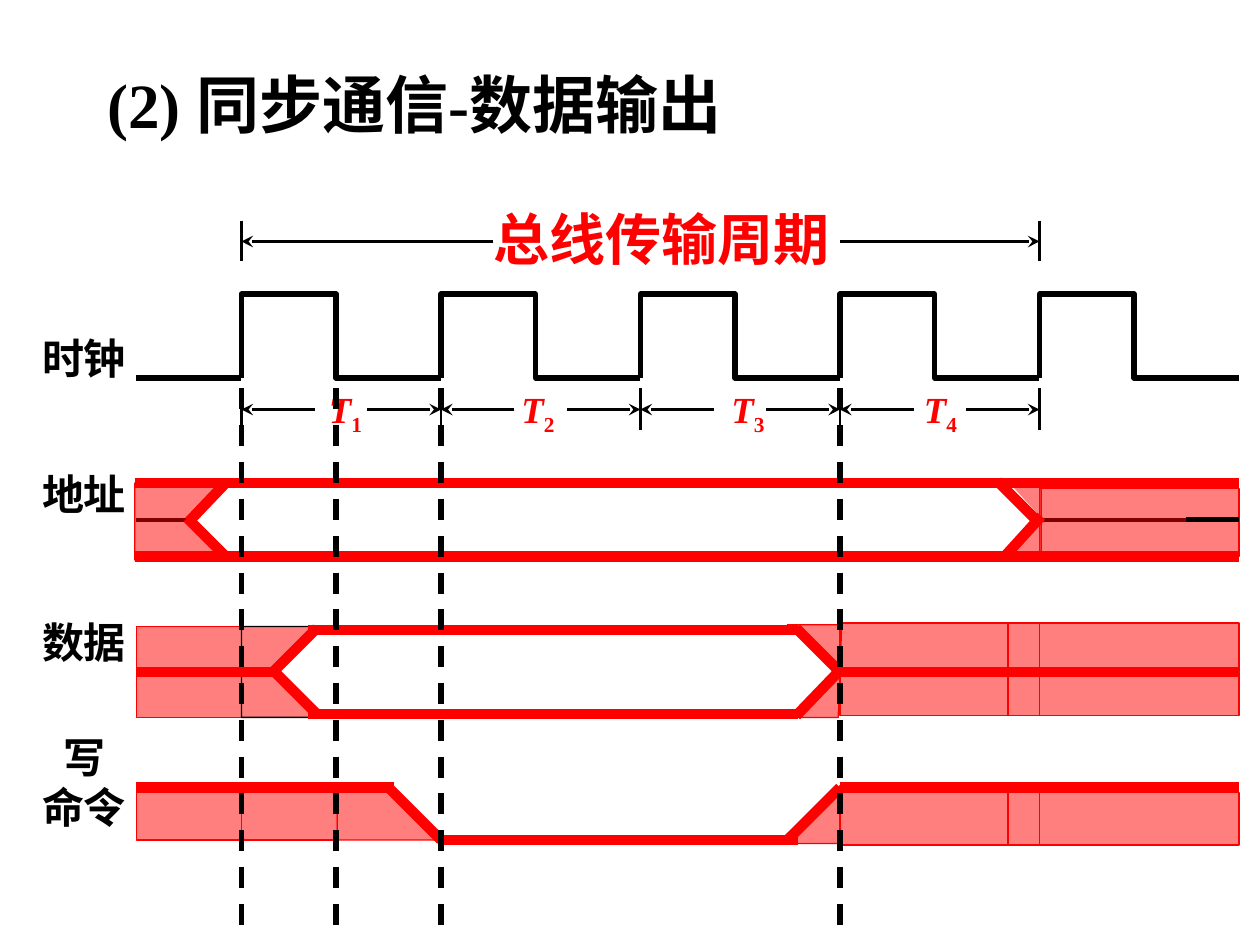
from lxml import etree
from pptx import Presentation
from pptx.dml.color import RGBColor
from pptx.enum.dml import MSO_LINE
from pptx.enum.shapes import MSO_CONNECTOR, MSO_SHAPE
from pptx.enum.text import MSO_ANCHOR, MSO_AUTO_SIZE, PP_ALIGN
from pptx.oxml.ns import qn
from pptx.util import Pt

BLACK = RGBColor(0, 0, 0)
RED = RGBColor(255, 0, 0)
DASH = MSO_LINE.DASH
STRAIGHT = MSO_CONNECTOR.STRAIGHT
RECT = MSO_SHAPE.RECTANGLE
TOP = MSO_ANCHOR.TOP
LEFT, CENTER = PP_ALIGN.LEFT, PP_ALIGN.CENTER
NONE = MSO_AUTO_SIZE.NONE

SERIF, SANS = "Times New Roman", "Noto Sans CJK SC"
HEAD = {"name": SERIF, "size": Pt(36), "bold": True}
LABEL = {"name": SERIF, "size": Pt(24), "bold": True}
CYCLE = {"name": SANS, "size": Pt(32), "bold": True}
STATE = {"name": SERIF, "size": Pt(21), "bold": True, "italic": True}
INDEX = {**STATE, "italic": False}

START, STEP, HIGH = 138, 114, 54
EDGES = [START + STEP * k for k in range(5)]
FIRST, LAST = 78, 708

LABELS = [("时钟", 190), ("地址", 268), ("数据", 352), ("写\n命令", 418)]
MARKS = [188, 298, 418, 528]
BLOCKS = [
    (78, 358, 60, 52), (480, 356, 96, 53), (576, 356, 18, 53), (594, 356, 114, 53),
    (78, 450, 60, 30), (138, 450, 55, 30), (480, 450, 96, 33), (576, 450, 18, 33),
    (594, 453, 114, 30), (594, 279, 114, 39),
]
WEDGES = [
    (RED, [(107, 297), (131, 276), (77, 276), (77, 320), (132, 320)]),
    (BLACK, [(184, 358), (138, 358), (138, 410), (180, 410), (155, 383)]),
    (RED, [(192, 450), (222, 450), (252, 480), (192, 480)]),
    (RED, [(450, 357), (481, 357), (479, 410), (453, 410), (480, 382), (450, 357)]),
    (RED, [(480, 449), (444, 482), (481, 482)]),
    (RED, [(575, 274), (595, 274), (595, 318), (570, 318), (596, 297)]),
]
TRACKS = [
    (276, [77, 138, 192, 252, 366, 456, 480, 576, 594, 708]),
    (318, [77, 138, 192, 252, 366, 456, 480, 576, 594, 708]),
    (360, [176, 192, 252, 366, 456]),
    (408, [176, 192, 252, 366, 456]),
    (384, [78, 138, 156]),
    (384, [480, 576, 594, 708]),
    (450, [78, 138, 192, 225]),
    (450, [480, 576, 594, 708]),
    (480, [252, 366, 456]),
]
SLOPES = [
    (129, 276, 108, 298), (130, 319, 107, 296), (595, 295, 575, 317),
    (593, 298, 570, 275), (181, 359, 156, 384), (181, 408, 155, 382),
    (481, 385, 455, 359), (480, 383, 455, 409), (222, 450, 252, 480),
    (480, 450, 450, 480),
]


def style(run, form, color):
    for key, value in form.items():
        setattr(run.font, key, value)
    run.font.color.rgb = color


def stroke(shape, color, width):
    shape.line.color.rgb = color
    shape.line.width = Pt(width)


def line(shapes, ends, color, width, dash=None, arrow=False):
    link = shapes.add_connector(STRAIGHT, *map(Pt, ends))
    stroke(link, color, width)
    if dash:
        link.line.dash_style = dash
    props = link._element.spPr
    if arrow:
        etree.SubElement(props.find(qn("a:ln")), qn("a:tailEnd"), type="stealth")
    etree.SubElement(props, qn("a:effectLst"))


def tint(shape, edge):
    shape.shadow.inherit = False
    shape.fill.solid()
    shape.fill.fore_color.rgb = RED
    color = shape._element.spPr.find(qn("a:solidFill"))[0]
    etree.SubElement(color, qn("a:alpha"), val="50000")
    stroke(shape, edge, 0.75)


def outline(shapes, points):
    form = shapes.build_freeform(*points[0], scale=Pt(1))
    form.add_line_segments(points[1:], close=False)
    return form.convert_to_shape()


def text(shapes, box, rows, color, align=LEFT, wrap=False):
    frame = shapes.add_textbox(*map(Pt, box)).text_frame
    frame.word_wrap = wrap
    for side in ("left", "right", "top", "bottom"):
        setattr(frame, "margin_" + side, 0)
    for k, row in enumerate(rows):
        para = frame.add_paragraph() if k else frame.paragraphs[0]
        para.alignment = align
        for words, form in row:
            run = para.add_run()
            run.text = words
            style(run, form, color)


def title(slide):
    shape = slide.shapes.title
    place = {"left": 54, "top": 34, "width": 370, "height": 51}
    for key, value in place.items():
        setattr(shape, key, Pt(value))
    frame = shape.text_frame
    format = {"word_wrap": True, "auto_size": NONE, "vertical_anchor": TOP}
    for key, value in format.items():
        setattr(frame, key, value)
    para = frame.paragraphs[0]
    para.alignment = LEFT
    run = para.add_run()
    run.text = "(2) 同步通信-数据输出"
    style(run, HEAD, BLACK)


def clock(shapes):
    line(shapes, (FIRST, 216, START, 216), BLACK, 3)
    for x in EDGES:
        fall = x + HIGH
        pulse = outline(shapes, [(x, 216), (x, 168), (fall, 168), (fall, 216),
                                 (min(x + STEP, LAST), 216)])
        pulse.fill.background()
        pulse.shadow.inherit = False
        stroke(pulse, BLACK, 3)


def spans(shapes):
    for x in (EDGES[0], EDGES[-1]):
        line(shapes, (x, 126, x, 149), BLACK, 1.25)
    line(shapes, (282, 138, START, 138), BLACK, 2.25, arrow=True)
    line(shapes, (480, 138, EDGES[-1], 138), BLACK, 2.25, arrow=True)
    text(shapes, (282, 117, 193, 38), [[("总线传输周期", CYCLE)]], RED)
    for x in EDGES:
        line(shapes, (x, 222, x, 246), BLACK, 1.25)
    for k, (x, mark) in enumerate(zip(EDGES, MARKS), 1):
        line(shapes, (x + 42, 234, x, 234), BLACK, 2.25, arrow=True)
        line(shapes, (x + 72, 234, x + STEP, 234), BLACK, 2.25, arrow=True)
        low = [("T", STATE), (str(k), INDEX)]
        text(shapes, (mark, 221, 20, 25), [low], RED)
        run = shapes[-1].text_frame.paragraphs[0].runs[1]
        run.font._element.set("baseline", "-25000")


def signals(shapes):
    line(shapes, (FIRST, 297, 109, 297), BLACK, 2.5)
    line(shapes, (594, 297, 690, 297), BLACK, 2.5)
    for block in BLOCKS:
        tint(shapes.add_shape(RECT, *map(Pt, block)), RED)
    for edge, points in WEDGES:
        tint(outline(shapes, points), edge)
    line(shapes, (678, 297, LAST, 297), BLACK, 3)
    for y, stops in TRACKS:
        for left, right in zip(stops, stops[1:]):
            line(shapes, (left, y, right, y), RED, 6)
    for slope in SLOPES:
        line(shapes, slope, RED, 6)


def main():
    deck = Presentation()
    deck.slide_width, deck.slide_height = Pt(720), Pt(540)
    slide = deck.slides.add_slide(deck.slide_layouts[5])
    shapes = slide.shapes
    title(slide)
    clock(shapes)
    spans(shapes)
    signals(shapes)
    for words, top in LABELS:
        rows = [[(row, LABEL)] for row in words.split("\n")]
        text(shapes, (20, top, 56, 29 * len(rows)), rows, BLACK, CENTER, True)
    for x in (START, START + HIGH, EDGES[1], EDGES[3]):
        line(shapes, (x, 222, x, 533.5), BLACK, 3, dash=DASH)
    deck.save("out.pptx")


if __name__ == "__main__":
    main()
